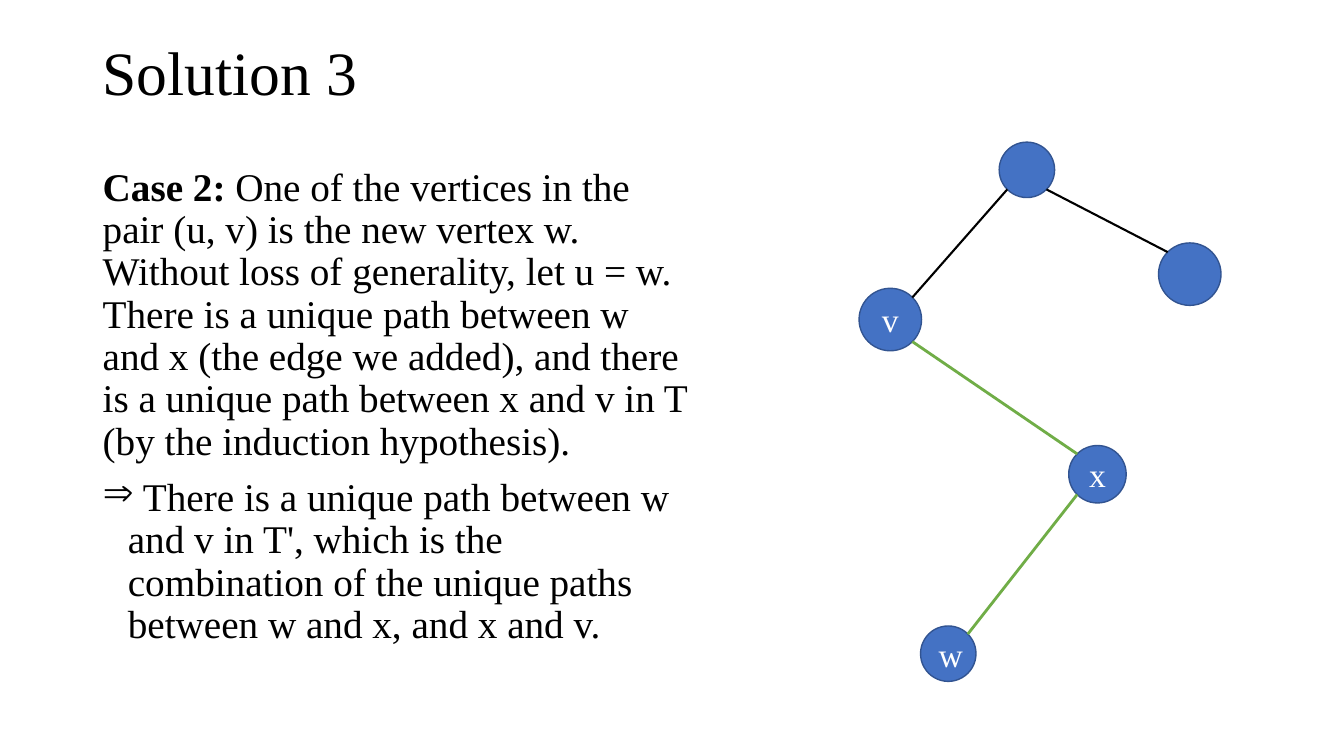
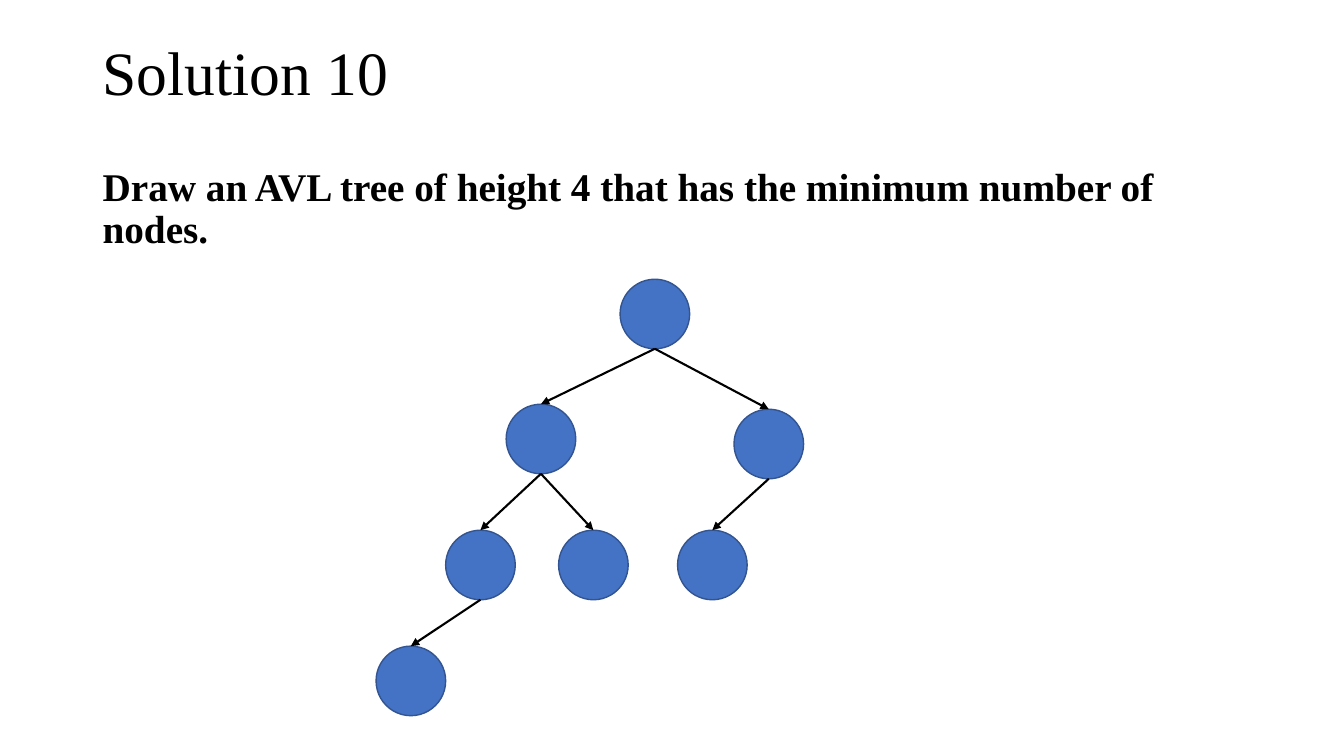
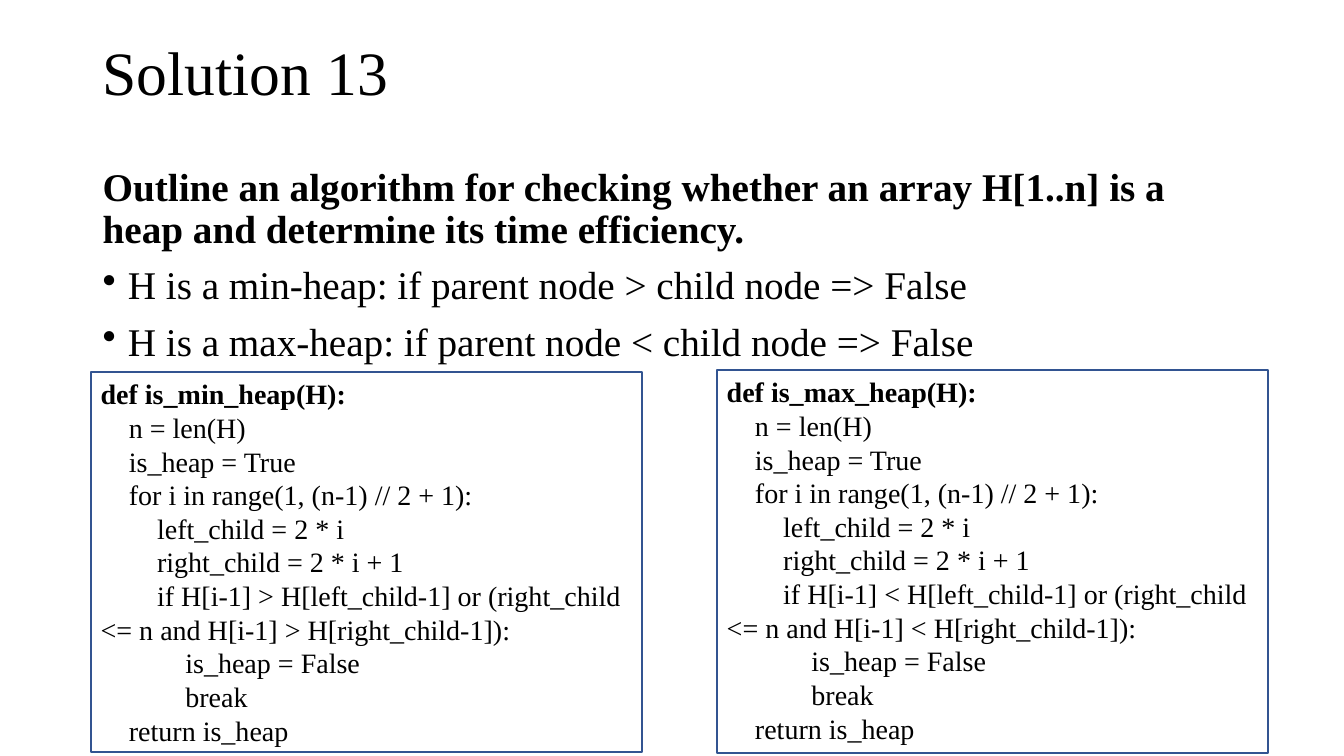
import math
import pptx
import pptx.util
import pptx.dml.color
import pptx.enum.shapes
import pptx.enum.text
import pptx.oxml.ns
import lxml.etree

PX = 9144  # one px is a hundredth of an inch
Pt = pptx.util.Pt
Kind = pptx.enum.shapes.MSO_SHAPE
Line = pptx.enum.shapes.MSO_CONNECTOR
Side = pptx.enum.text.PP_ALIGN
Hold = pptx.enum.text.MSO_ANCHOR
Fit = pptx.enum.text.MSO_AUTO_SIZE
Rgb = pptx.dml.color.RGBColor.from_string
tag = pptx.oxml.ns.qn


class Theme:
    font = "Times New Roman"
    ink, pale = Rgb("000000"), Rgb("FFFFFF")
    node, rim, route = Rgb("4472C4"), Rgb("325491"), Rgb("70AD47")
    title, body, label, code = Pt(44), Pt(28), Pt(24), Pt(20)
    lead, gap = 0.9, Pt(10)


def say(para, text, size, color=Theme.ink, bold=False):
    run = para.add_run()
    run.text = text
    run.font.name = Theme.font
    run.font.size = size
    run.font.color.rgb = color
    run.font.bold = bold


def dent(para, left, first, mark=None):
    props = para._p.get_or_add_pPr()
    props.set("marL", str(left * PX))
    props.set("indent", str(first * PX))
    if mark:
        lxml.etree.SubElement(props, tag("a:buChar")).set("char", mark)


# Titles and body text: each paragraph is a bullet mark and (text, bold) runs
pages = [
    ("Solution 3", 601, [
        (None, [("Case 2:", True),
                (" One of the vertices in the pair (u, v) is the new vertex w. "
                 "Without loss of generality, let u = w. There is a unique path "
                 "between w and x (the edge we added), and there is a unique path "
                 "between x and v in T (by the induction hypothesis).", False)]),
        ("⇒", [(" There is a unique path between w and v in T', which is the "
                "combination of the unique paths between w and x, and x and v.", False)]),
    ]),
    ("Solution 10", 1150, [
        (None, [("Draw an AVL tree of height 4 that has the minimum number of nodes.", True)]),
    ]),
    ("Solution 13", 1150, [
        (None, [("Outline an algorithm for checking whether an array H[1..n] is a heap "
                 "and determine its time efficiency.", True)]),
        ("•", [("H is a min-heap: if parent node > child node => False", False)]),
        ("•", [("H is a max-heap: if parent node < child node => False", False)]),
    ]),
]

deck = pptx.Presentation()
deck.slide_width, deck.slide_height = 1333 * PX, 750 * PX
slides = []
for title, wide, paras in pages:
    slide = deck.slides.add_slide(deck.slide_layouts[6])
    slides.append(slide)

    head = slide.shapes.add_textbox(92 * PX, 2 * PX, 1150 * PX, 145 * PX).text_frame
    head.word_wrap = True
    head.vertical_anchor = Hold.MIDDLE
    head.paragraphs[0].line_spacing = Theme.lead
    say(head.paragraphs[0], title, Theme.title)

    body = slide.shapes.add_textbox(92 * PX, 161 * PX, wide * PX, 514 * PX).text_frame
    body.word_wrap = True
    for i, (mark, runs) in enumerate(paras):
        para = body.add_paragraph() if i else body.paragraphs[0]
        para.line_spacing = Theme.lead
        para.space_before = Theme.gap
        if mark:
            dent(para, 25, -25, mark)
        for text, bold in runs:
            say(para, text, Theme.body, bold=bold)

# Graphs: nodes are (left, top, size, label);
# edges are (node, side, node, side, color, width), a side being an x, y direction
NW, NE, SW, SE, N, S = (-1, -1), (1, -1), (-1, 1), (1, 1), (0, -1), (0, 1)
paths = (
    {"top": (991, 141, 55, ""), "right": (1149, 241, 62, ""), "v": (852, 286, 62, "v"),
     "x": (1060, 442, 57, "x"), "w": (913, 621, 55, "w")},
    [("top", SE, "right", NW, Theme.ink, 1.5), ("v", NE, "top", SW, Theme.ink, 1.5),
     ("v", SE, "x", NW, Theme.route, 2), ("w", NE, "x", SW, Theme.route, 2)],
    False)

spots = {"root": (615, 277), "l": (502, 401), "r": (728, 406), "ll": (442, 526),
         "lr": (554, 526), "rl": (672, 526), "lll": (373, 641)}
kin = [("root", "l"), ("root", "r"), ("l", "ll"), ("l", "lr"), ("r", "rl"), ("ll", "lll")]
avl = ({name: (*spot, 69, "") for name, spot in spots.items()},
       [(up, S, down, N, Theme.ink, 1.5) for up, down in kin],
       True)

for slide, (nodes, edges, arrow) in zip(slides, (paths, avl)):
    for left, top, size, label in nodes.values():
        disc = slide.shapes.add_shape(Kind.OVAL, left * PX, top * PX, size * PX, size * PX)
        disc.shadow.inherit = False
        disc.fill.solid()
        disc.fill.fore_color.rgb = Theme.node
        disc.line.color.rgb = Theme.rim
        disc.line.width = Pt(1)
        if label:
            disc.text_frame.vertical_anchor = Hold.MIDDLE
            disc.text_frame.paragraphs[0].alignment = Side.CENTER
            say(disc.text_frame.paragraphs[0], label, Theme.label, Theme.pale)

    for start, out, end, into, color, width in edges:
        ends = []
        for name, side in ((start, out), (end, into)):
            left, top, size, label = nodes[name]
            reach = size / 2 / math.hypot(*side)
            ends += [round((left + size / 2 + side[0] * reach) * PX),
                     round((top + size / 2 + side[1] * reach) * PX)]
        edge = slide.shapes.add_connector(Line.STRAIGHT, *ends)
        edge.line.color.rgb = color
        edge.line.width = Pt(width)
        if arrow:
            tip = lxml.etree.SubElement(edge.line._get_or_add_ln(), tag("a:tailEnd"))
            tip.set("type", "triangle")
        lxml.etree.SubElement(edge._element.spPr, tag("a:effectLst"))

# Code boxes: the two listings differ in name and comparison only
for left, top, high, name, sign in ((90, 369, 377, "min", ">"), (711, 367, 380, "max", "<")):
    box = slides[2].shapes.add_shape(Kind.RECTANGLE, left * PX, top * PX, 547 * PX, high * PX)
    box.shadow.inherit = False
    box.fill.background()
    box.line.color.rgb = Theme.rim
    box.line.width = Pt(1.5)
    frame = box.text_frame
    frame.word_wrap = True
    frame.auto_size = Fit.SHAPE_TO_FIT_TEXT
    frame.vertical_anchor = Hold.TOP
    code = [
        (0, f"def is_{name}_heap(H):"),
        (1, "n = len(H)"),
        (1, "is_heap = True"),
        (1, "for i in range(1, (n-1) // 2 + 1):"),
        (2, "left_child = 2 * i"),
        (2, "right_child = 2 * i + 1"),
        (2, f"if H[i-1] {sign} H[left_child-1] or "
            f"(right_child <= n and H[i-1] {sign} H[right_child-1]):"),
        (3, "is_heap = False"),
        (3, "break"),
        (1, "return is_heap"),
    ]
    for i, (depth, text) in enumerate(code):
        para = frame.add_paragraph() if i else frame.paragraphs[0]
        para.alignment = Side.LEFT
        dent(para, 0, 28 * depth)
        say(para, text, Theme.code, bold=depth == 0)

deck.save("out.pptx")
